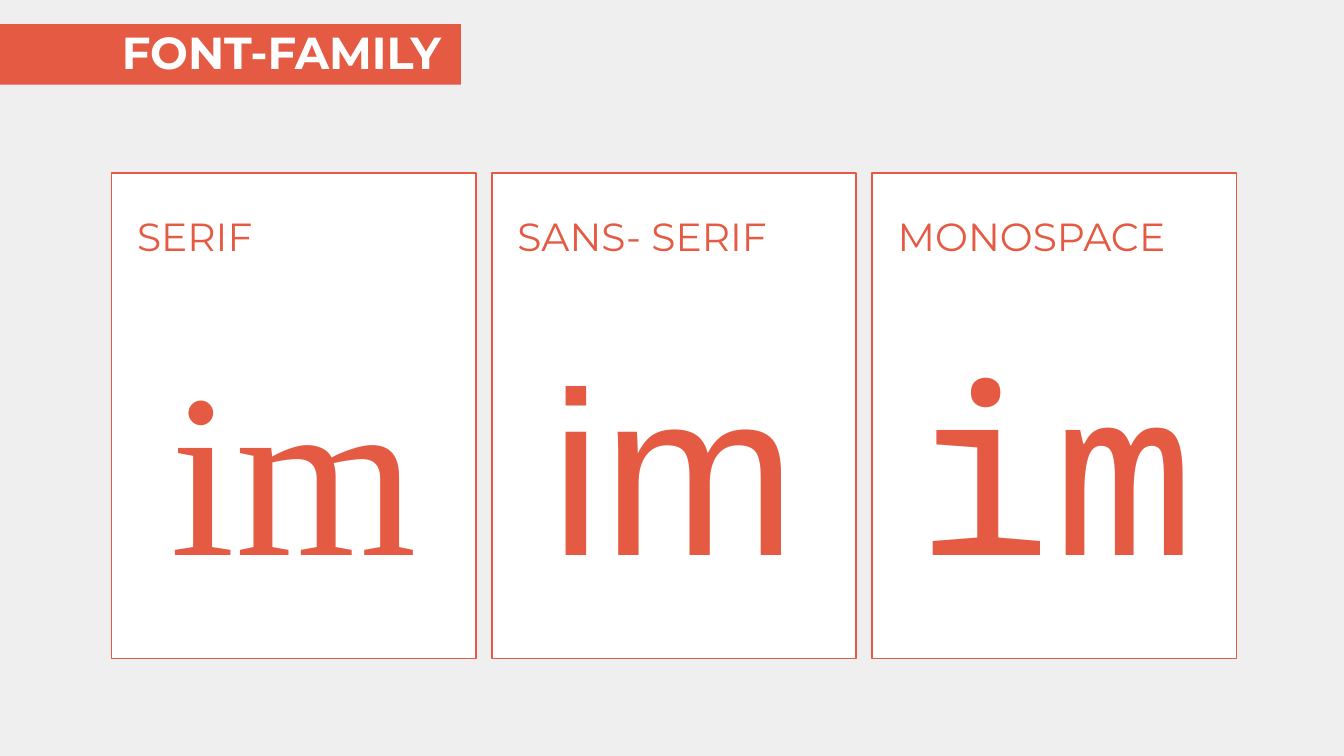
"""Build a slide comparing the serif, sans-serif and monospace font families."""
from pptx import Presentation
from pptx.dml.color import RGBColor
from pptx.enum.shapes import MSO_SHAPE
from pptx.enum.text import MSO_ANCHOR, MSO_AUTO_SIZE, PP_ALIGN
from pptx.util import Inches, Pt

ACCENT, WHITE, BACKGROUND = "E55A43", "FFFFFF", "EFEFEF"
CARD_LEFT, CARD_TOP, CARD_WIDTH, CARD_HEIGHT = 0.83, 1.29, 2.71, 3.61
COLUMN_STEP = 2.83
TEXT_INDENT, TEXT_WIDTH = 0.12, 2.47
FAMILIES = [
    ("SERIF", "Times New Roman"),
    ("SANS- SERIF", "Arial"),
    ("MONOSPACE", "Noto Sans Mono"),
]


def paint(fill, color):
    fill.solid()
    fill.fore_color.rgb = RGBColor.from_string(color)


def write(shape, text, font_name, size, color, align, side_margins):
    frame = shape.text_frame
    frame.text = text
    frame.word_wrap = True
    frame.auto_size = MSO_AUTO_SIZE.NONE
    frame.margin_left, frame.margin_right = map(Inches, side_margins)
    frame.margin_top = frame.margin_bottom = Inches(0.04)
    para = frame.paragraphs[0]
    para.alignment = align
    font = para.runs[0].font
    font.name, font.size = font_name, Pt(size)
    paint(font.fill, color)
    return para


deck = Presentation()
deck.slide_width = Inches(10)
deck.slide_height = deck.slide_width * 9 // 16
page = deck.slides.add_slide(deck.slide_layouts[5])
paint(page.background.fill, BACKGROUND)

title = page.shapes.title
title.left, title.top, title.width, title.height = map(Inches, (0, 0.18, 3.43, 0.45))
paint(title.fill, ACCENT)
heading = write(title, "FONT-FAMILY", "Montserrat", 24, WHITE, PP_ALIGN.RIGHT, (0.75, 0.15))
heading.line_spacing = 0.9
heading.runs[0].font.bold = True
title.text_frame.vertical_anchor = MSO_ANCHOR.BOTTOM

for column, (family, sample_font) in enumerate(FAMILIES):
    left = CARD_LEFT + column * COLUMN_STEP
    group = page.shapes.add_group_shape()
    card = group.shapes.add_shape(
        MSO_SHAPE.RECTANGLE, Inches(left), Inches(CARD_TOP), Inches(CARD_WIDTH), Inches(CARD_HEIGHT)
    )
    card.shadow.inherit = False
    paint(card.fill, WHITE)
    paint(card.line.fill, ACCENT)
    card.line.width = Pt(1)

    for text, font_name, size, align, top, height in (
        ("im", sample_font, 125, PP_ALIGN.CENTER, 2.36, 2.17),
        (family, "Montserrat", 21, PP_ALIGN.LEFT, 1.54, 0.43),
    ):
        box = group.shapes.add_textbox(
            Inches(left + TEXT_INDENT), Inches(top), Inches(TEXT_WIDTH), Inches(height)
        )
        write(box, text, font_name, size, ACCENT, align, (0.07, 0.07))

deck.save("out.pptx")
